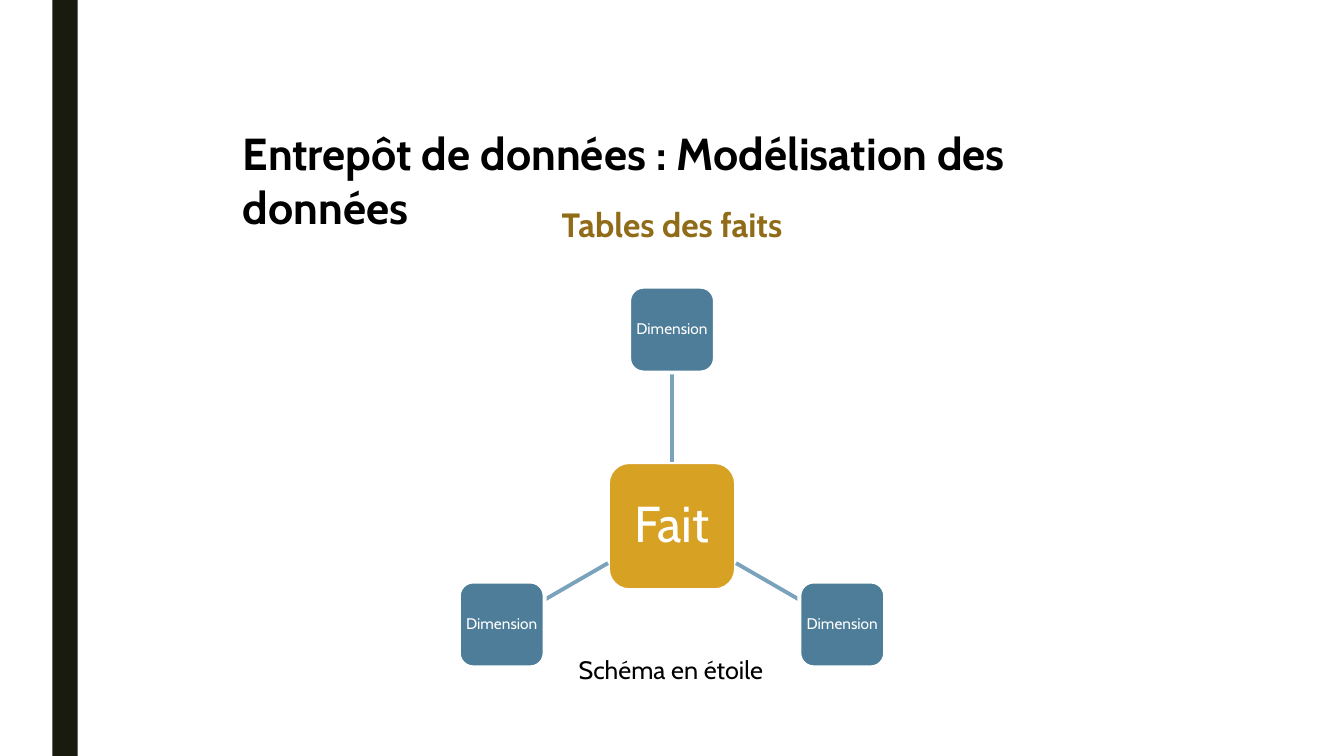
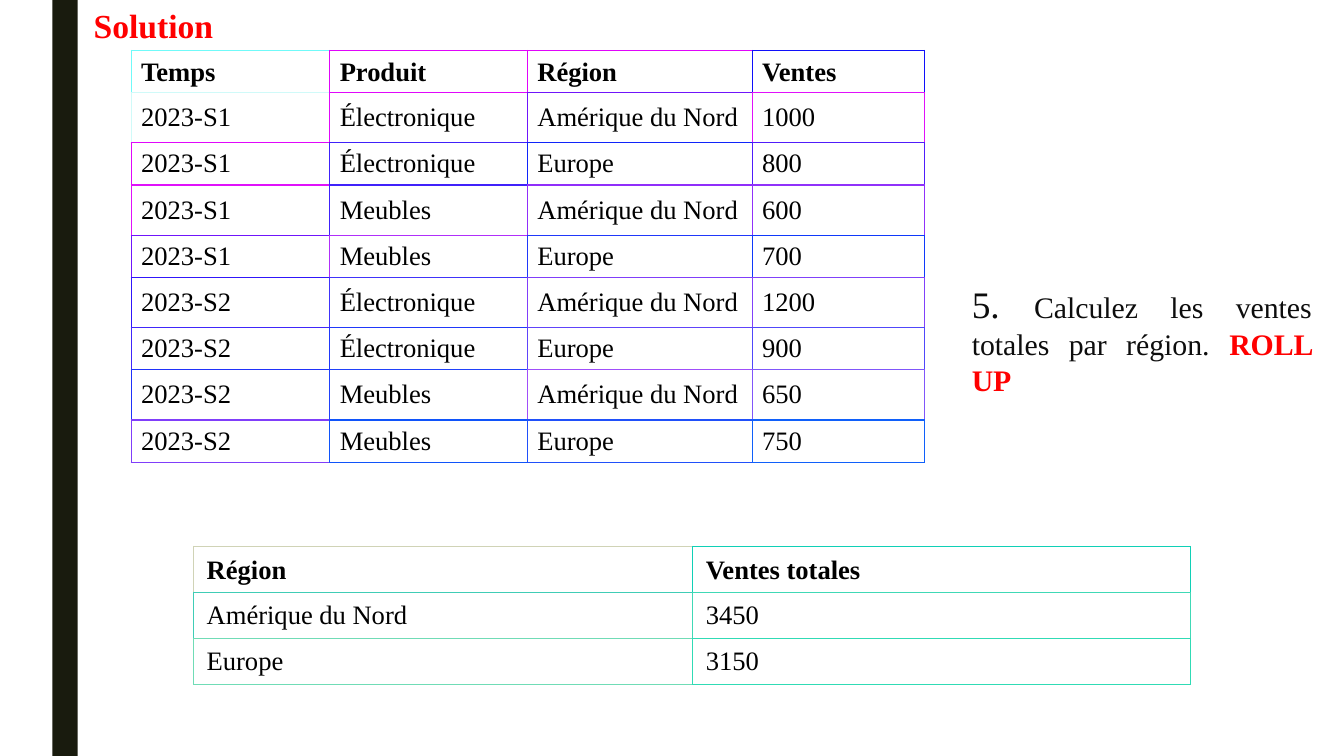
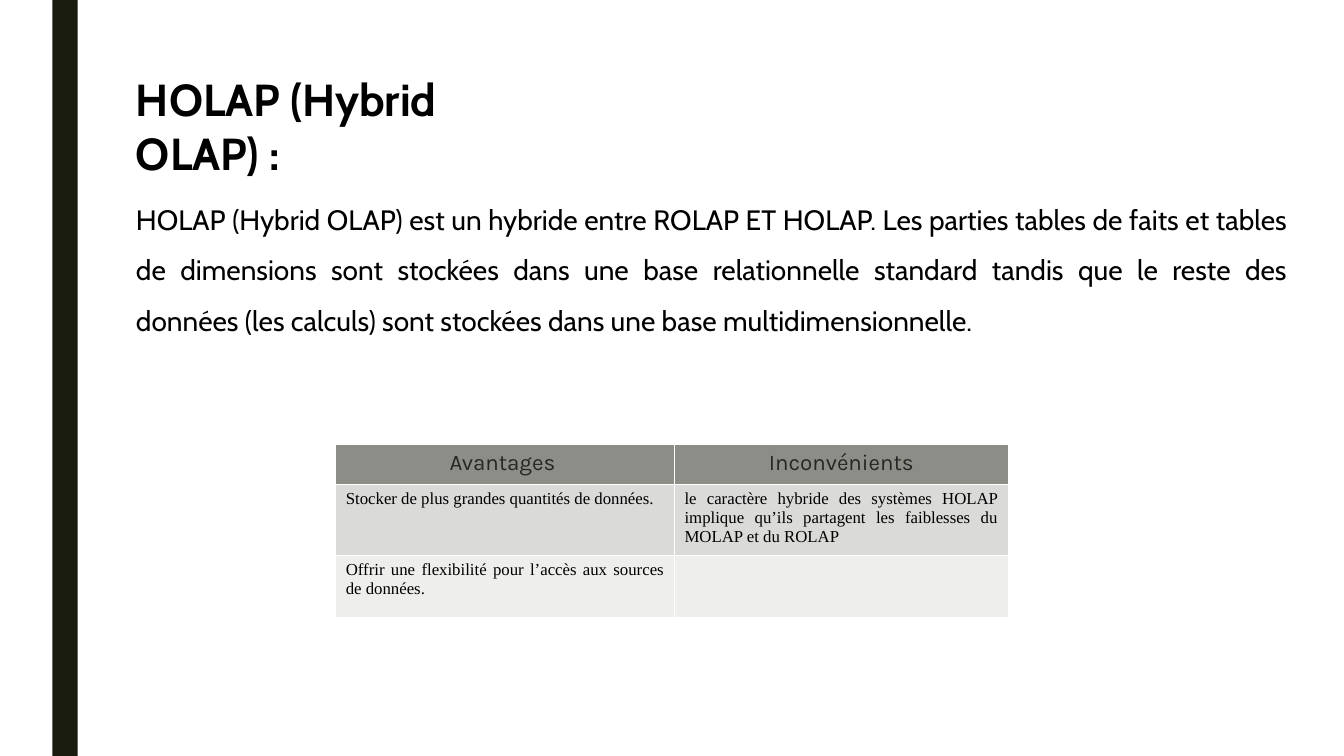
from math import cos, sin, radians

from lxml.etree import SubElement
from pptx import Presentation
from pptx.dml.color import RGBColor
from pptx.enum.shapes import MSO_CONNECTOR as CONN, MSO_SHAPE as SHAPE
from pptx.enum.text import MSO_ANCHOR as ANCHOR, PP_ALIGN as ALIGN
from pptx.oxml.ns import qn
from pptx.util import Inches, Pt

SANS, SERIF, HEADER = "Cabin", "Times New Roman", "Karla"
BLACK, WHITE, RED, INK = "000000", "FFFFFF", "FF0000", "0D0D0D"
BAND, GOLD, DARK_GOLD = "191B0E", "D7A124", "906B18"
BLUE, LIGHT_BLUE = "4D7D99", "79A3BC"
HEAD_GRAY, GRAY, PALE_GRAY, HEAD_INK = "8C8D86", "DADBD9", "EEEEED", "262626"

SALES = [
    ["Temps", "Produit", "Région", "Ventes"],
    ["2023-S1", "Électronique", "Amérique du Nord", "1000"],
    ["2023-S1", "Électronique", "Europe", "800"],
    ["2023-S1", "Meubles", "Amérique du Nord", "600"],
    ["2023-S1", "Meubles", "Europe", "700"],
    ["2023-S2", "Électronique", "Amérique du Nord", "1200"],
    ["2023-S2", "Électronique", "Europe", "900"],
    ["2023-S2", "Meubles", "Amérique du Nord", "650"],
    ["2023-S2", "Meubles", "Europe", "750"],
]
SALES_BORDERS = [
    ["70FAF9", "E005FA", "E005FA", "100FFA"],
    ["D0FAF9", "E008FA", "7015FA", "E011FA"],
    ["E008FA", "4021FA", "1024FA", "501DFA"],
    ["E011FA", "4021FA", "902EFA", "9031FA"],
    ["7015FA", "B02FFA", "2038FA", "1039FA"],
    ["3016FA", "4033FA", "803EFA", "8041FA"],
    ["4027FA", "2038FA", "6043FA", "5047FA"],
    ["2032FA", "2041FA", "A04EFA", "8056FA"],
    ["803EFA", "1054FA", "2050FA", "1060FA"],
]
TOTALS = [
    ["Région", "Ventes totales"],
    ["Amérique du Nord", "3450"],
    ["Europe", "3150"],
]
TOTALS_BORDERS = [
    ["D0D3B6", "10D0B6"],
    ["40CDB6", "40D9B6"],
    ["70DCB6", "30DBB5"],
]
HOLAP = [
    ["Avantages ", "Inconvénients"],
    ["Stocker de plus grandes quantités de données.",
     "le caractère hybride des systèmes HOLAP implique qu’ils partagent "
     "les faiblesses du MOLAP et du ROLAP"],
    ["Offrir une flexibilité pour l’accès aux sources de données.", ""],
]


def rgb(value):
    """Turn a hex string into a colour."""
    return RGBColor.from_string(value)


def add_run(p, text, size, font=SANS, color=BLACK, bold=False):
    """Append one formatted run to a paragraph."""
    r = p.add_run()
    r.text = text
    r.font.size = Pt(size)
    r.font.name = font
    r.font.bold = bold
    r.font.color.rgb = rgb(color)


def add_text(s, box, runs, align=ALIGN.LEFT, wrap=True, spacing=None):
    """Add a one-paragraph text box made of run tuples."""
    tf = s.shapes.add_textbox(*map(Inches, box)).text_frame
    tf.word_wrap = wrap
    p = tf.paragraphs[0]
    p.alignment = align
    if spacing:
        p.line_spacing = spacing
    for run in runs:
        add_run(p, *run)


def add_title(s, box, text):
    """Add a slide title."""
    add_text(s, box, [(text, 32, SANS, BLACK, True)])


def add_block(s, kind, box, fill, line=None):
    """Add a filled preset shape, outlined if a line colour is given."""
    sp = s.shapes.add_shape(kind, *map(Inches, box))
    sp.shadow.inherit = False
    sp.fill.solid()
    sp.fill.fore_color.rgb = rgb(fill)
    if line:
        sp.line.color.rgb = rgb(line)
        sp.line.width = Pt(2.75)
    else:
        sp.line.fill.background()
    return sp


def add_node(s, x, y, side, text, size, fill):
    """Add a rounded square centred on a point."""
    sp = add_block(s, SHAPE.ROUNDED_RECTANGLE,
                   (x - side / 2, y - side / 2, side, side), fill, WHITE)
    tf = sp.text_frame
    tf.word_wrap = False
    tf.vertical_anchor = ANCHOR.MIDDLE
    tf.margin_left = tf.margin_right = 0
    tf.margin_top = tf.margin_bottom = 0
    p = tf.paragraphs[0]
    p.alignment = ALIGN.CENTER
    p.line_spacing = 0.9
    add_run(p, text, size, SANS, WHITE)


def add_spoke(s, *ends):
    """Add a straight line without shadow."""
    line = s.shapes.add_connector(CONN.STRAIGHT, *map(Inches, ends))
    line.line.color.rgb = rgb(LIGHT_BLUE)
    line.line.width = Pt(2.75)
    SubElement(line._element.spPr, qn("a:effectLst"))


def add_star(s, x, y, radius, hub, node):
    """Draw a fact hub with three dimension nodes around it."""
    add_node(s, x, y, hub, "Fait", 36, GOLD)
    for angle in (-90, 30, 150):
        dx, dy = cos(radians(angle)), sin(radians(angle))
        reach = 2 * max(abs(dx), abs(dy))
        start, end = hub / reach, radius - node / reach
        add_spoke(s, x + start * dx, y + start * dy, x + end * dx, y + end * dy)
        add_node(s, x + radius * dx, y + radius * dy, node, "Dimension", 11, BLUE)


def set_borders(cell, **edges):
    """Draw cell edges given as (colour, width in points)."""
    tc_pr = cell._tc.get_or_add_tcPr()
    for i, side in enumerate("LRTB"):
        color, width = edges[side]
        ln = tc_pr.makeelement(qn(f"a:ln{side}"), {"w": str(Pt(width))})
        fill = SubElement(ln, qn("a:solidFill"))
        SubElement(fill, qn("a:srgbClr"), val=color)
        tc_pr.insert(i, ln)


def add_table(s, at, widths, heights, rows, colors, rules, fills, styles,
              aligns, anchors, margins=(0.1, 0.05)):
    """Add a table; the style, align and anchor pairs serve header and body."""
    last_row, last_col = len(rows) - 1, len(widths) - 1
    box = (*at, sum(widths), sum(heights))
    frame = s.shapes.add_table(len(rows), len(widths), *map(Inches, box))
    table = frame.table
    table.first_row = table.horz_banding = False
    for column, width in zip(table.columns, widths):
        column.width = Inches(width)
    for row, height in zip(table.rows, heights):
        row.height = Inches(height)
    for i, row in enumerate(rows):
        part = min(i, 1)
        for j, text in enumerate(row):
            cell = table.cell(i, j)
            if fills:
                cell.fill.solid()
                cell.fill.fore_color.rgb = rgb(fills[i])
            else:
                cell.fill.background()
            own = colors[i][j]
            set_borders(cell,
                        L=(own, rules[0]),
                        R=(colors[i][min(j + 1, last_col)], rules[0]),
                        T=(own, rules[i]),
                        B=(colors[min(i + 1, last_row)][j], rules[i + 1]))
            cell.vertical_anchor = anchors[part]
            cell.margin_left = cell.margin_right = Inches(margins[0])
            cell.margin_top = cell.margin_bottom = Inches(margins[1])
            p = cell.text_frame.paragraphs[0]
            p.alignment = aligns[part]
            if text:
                add_run(p, text, *styles[part])


def add_slide(prs):
    """Add a blank slide with the dark vertical band."""
    s = prs.slides.add_slide(prs.slide_layouts[6])
    add_block(s, SHAPE.RECTANGLE, (0.52, 0, 0.25, 7.5), BAND)
    return s


def star_slide(prs):
    """Build the star schema slide."""
    s = add_slide(prs)
    add_title(s, (2.31, 1.2, 9.4, 0.64), "Entrepôt de données : Modélisation des données")
    add_text(s, (5.46, 1.97, 2.41, 0.5), [("Tables des faits", 24, SANS, DARK_GOLD, True)],
             ALIGN.CENTER, wrap=False)
    add_star(s, 6.665, 5.22, 1.95, hub=1.27, node=0.85)
    add_text(s, (5.64, 6.44, 2.05, 0.4), [("Schéma en étoile", 18)], wrap=False)


def solution_slide(prs):
    """Build the roll-up solution slide."""
    s = add_slide(prs)
    add_text(s, (0.83, 0, 1.48, 0.5), [("Solution", 24, SERIF, RED, True)], wrap=False)
    styles = [(19, SERIF, BLACK, True), (19, SERIF)]
    aligns = (ALIGN.LEFT, ALIGN.LEFT)
    anchors = (ANCHOR.BOTTOM, ANCHOR.MIDDLE)
    add_table(s, (1.3, 0.5), (1.97, 1.96, 2.23, 1.71), [0.41] + [0.5, 0.41] * 4,
              SALES, SALES_BORDERS, [0.75] + [1.1] * 8 + [0.75], None,
              styles, aligns, anchors)
    add_text(s, (9.54, 2.74, 3.57, 1.27),
             [("5. ", 26.7, SERIF, INK),
              ("Calculez les ventes totales par région. ", 21.3, SERIF, INK),
              ("ROLL UP", 21.3, SERIF, RED, True)], ALIGN.JUSTIFY)
    add_table(s, (1.92, 5.42), (4.95, 4.94), [0.44] * 3,
              TOTALS, TOTALS_BORDERS, [0.75, 1, 1, 0.75], [WHITE] * 3,
              styles, aligns, anchors, (0.13, 0.07))


def holap_slide(prs):
    """Build the hybrid OLAP slide."""
    s = add_slide(prs)
    add_title(s, (1.25, 0.66, 4.41, 0.64), "HOLAP (Hybrid OLAP) :")
    add_text(s, (1.25, 1.79, 11.62, 1.55),
             [("HOLAP (Hybrid OLAP) est un hybride entre ROLAP ET HOLAP. Les parties "
               "tables de faits et tables de dimensions sont stockées dans une base "
               "relationnelle standard tandis que le reste des données (les calculs) "
               "sont stockées dans une base multidimensionnelle.", 20)],
             ALIGN.JUSTIFY, spacing=1.5)
    add_table(s, (3.33, 4.41), (3.36, 3.31), (0.4, 0.7, 0.62),
              HOLAP, [[WHITE] * 2] * 3, [1] * 4, [HEAD_GRAY, GRAY, PALE_GRAY],
              [(16, HEADER, HEAD_INK), (12, SERIF)],
              (ALIGN.CENTER, ALIGN.JUSTIFY), (ANCHOR.TOP, ANCHOR.TOP))


def main():
    """Build and save the presentation."""
    prs = Presentation()
    prs.slide_width, prs.slide_height = Inches(13.33), Inches(7.5)
    star_slide(prs)
    solution_slide(prs)
    holap_slide(prs)
    prs.save("out.pptx")


if __name__ == "__main__":
    main()
